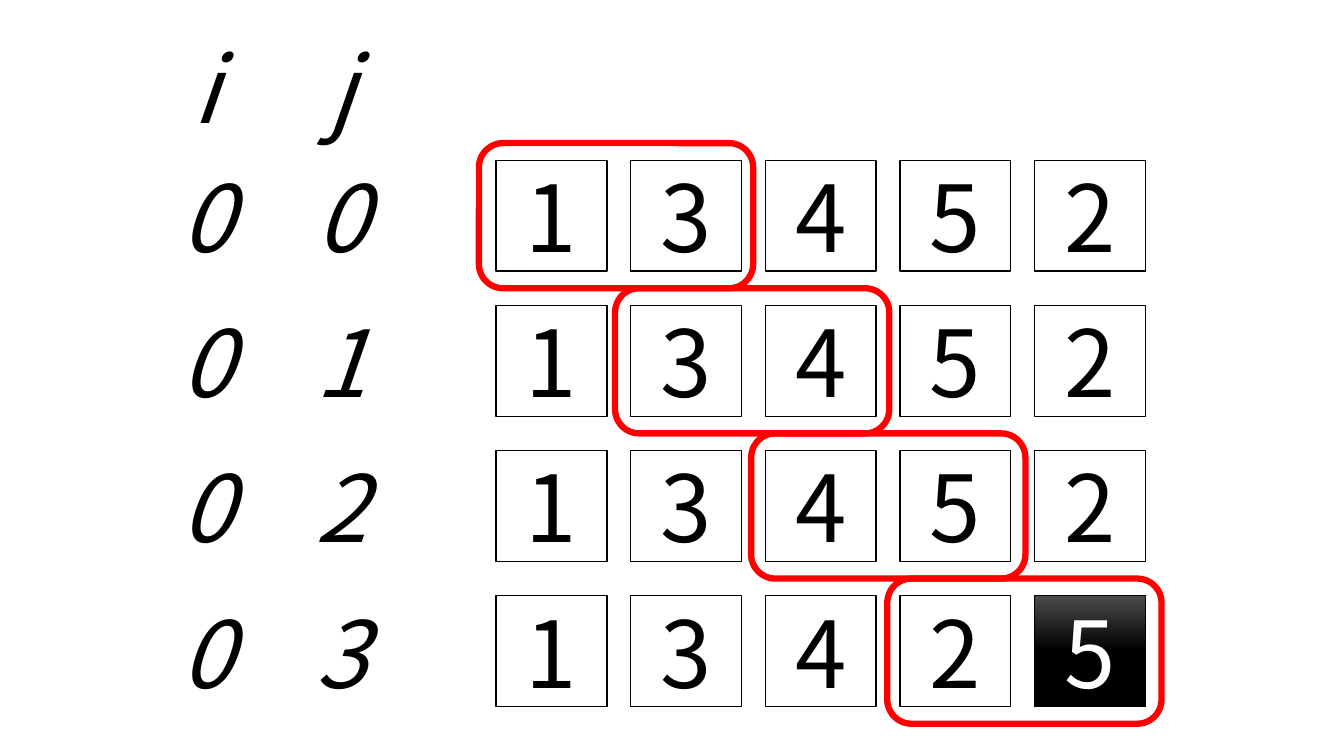
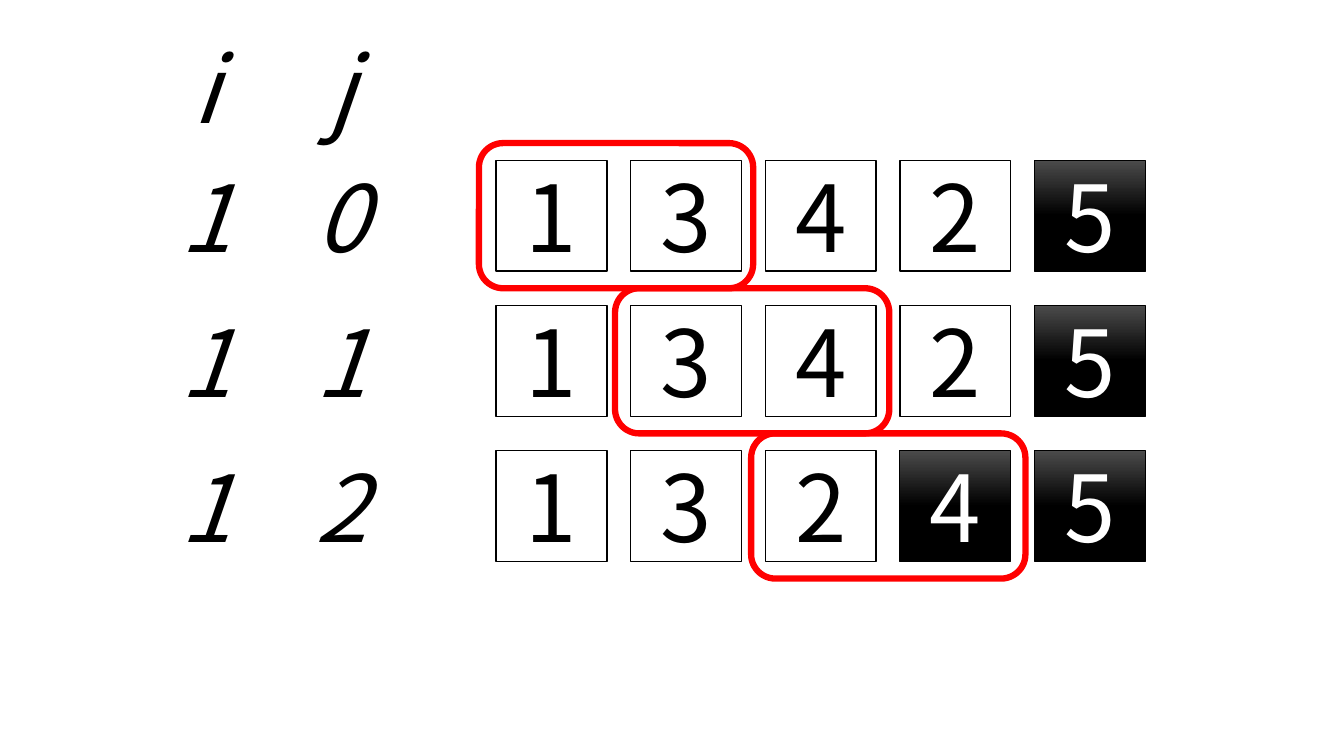
from pptx import Presentation
from pptx.dml.color import RGBColor
from pptx.enum.shapes import MSO_SHAPE
from pptx.enum.text import MSO_ANCHOR, PP_ALIGN
from pptx.util import Inches, Pt

RECT, ROUNDED = MSO_SHAPE.RECTANGLE, MSO_SHAPE.ROUNDED_RECTANGLE
CENTER, MIDDLE = PP_ALIGN.CENTER, MSO_ANCHOR.MIDDLE

COLORS = {"paper": "FFFFFF", "ink": "000000", "window": "FF0000", "sheen": "4B4B4B"}
FONT = {"name": "Noto Sans CJK JP", "size": Pt(66)}

CELL = 1.1
CELL_LEFT, CELL_PITCH = 4.92, (10.26 - 4.92) / 4
INDEX_LEFT, INDEX_PITCH = 1.49, 1.34
HEADER_TOP, ROWS_TOP, ROW_PITCH = 0.31, 1.59, 1.44
WINDOW_LEFT, WINDOW_PITCH, WINDOW_RISE = 4.75, 1.35, 0.17
WINDOW_WIDTH, WINDOW_HEIGHT = 2.72, 1.44

PASSES = [
    [("13452", 0), ("13452", 0), ("13452", 0), ("13425", 1)],
    [("13425", 1), ("13425", 1), ("13245", 2)],
]


def rgb(name):
    """Return the named palette colour."""
    return RGBColor.from_string(COLORS[name])


def add_box(s, kind, left, top, width, height, line=None, weight=1):
    """Add an unfilled shape with an optional outline."""
    sp = s.shapes.add_shape(kind, Inches(left), Inches(top), Inches(width), Inches(height))
    sp.shadow.inherit = False
    sp.fill.background()
    if line:
        sp.line.color.rgb = rgb(line)
        sp.line.width = Pt(weight)
    else:
        sp.line.fill.background()
    return sp


def set_text(sp, text, color="ink", **style):
    """Write one centred symbol in a shape."""
    tf = sp.text_frame
    tf.word_wrap = True
    tf.vertical_anchor = MIDDLE
    p = tf.paragraphs[0]
    p.alignment = CENTER
    r = p.add_run()
    r.text = text
    for name, value in {**FONT, **style}.items():
        setattr(r.font, name, value)
    r.font.color.rgb = rgb(color)


def fill_sorted(sp):
    """Fill a shape with the dark gradient of a sorted value."""
    sp.fill.gradient()
    sp.fill.gradient_angle = 270
    for stop, (position, color) in zip(sp.fill.gradient_stops, [(0, "sheen"), (0.5, "ink")]):
        stop.position = position
        stop.color.rgb = rgb(color)


def add_indices(s, top, symbols):
    """Add one row of italic loop indices."""
    for col, symbol in enumerate(symbols):
        sp = add_box(s, RECT, INDEX_LEFT + col * INDEX_PITCH, top, CELL, CELL)
        set_text(sp, symbol, italic=True)


def add_values(s, top, values, sorted_count):
    """Add one row of value cells, with the sorted tail dark."""
    for col, value in enumerate(values):
        is_sorted = col >= len(values) - sorted_count
        sp = add_box(s, RECT, CELL_LEFT + col * CELL_PITCH, top, CELL, CELL,
                     "ink", 0.5 if is_sorted else 1)
        if is_sorted:
            fill_sorted(sp)
        else:
            sp.fill.solid()
            sp.fill.fore_color.rgb = rgb("paper")
        set_text(sp, value, "paper" if is_sorted else "ink")


def add_window(s, top, j):
    """Outline the pair compared at step j."""
    add_box(s, ROUNDED, WINDOW_LEFT + j * WINDOW_PITCH, top - WINDOW_RISE,
            WINDOW_WIDTH, WINDOW_HEIGHT, "window", 4.5)


def add_pass_slide(prs, i, steps):
    """Add the slide for one bubble sort pass."""
    s = prs.slides.add_slide(prs.slide_layouts[6])
    add_indices(s, HEADER_TOP, "ij")
    for j, (values, sorted_count) in enumerate(steps):
        top = ROWS_TOP + j * ROW_PITCH
        add_indices(s, top, f"{i}{j}")
        add_values(s, top, values, sorted_count)
        add_window(s, top, j)


def main():
    """Build and save the presentation."""
    prs = Presentation()
    prs.slide_width, prs.slide_height = Inches(13.33), Inches(7.5)
    for i, steps in enumerate(PASSES):
        add_pass_slide(prs, i, steps)
    prs.save("out.pptx")


if __name__ == "__main__":
    main()
